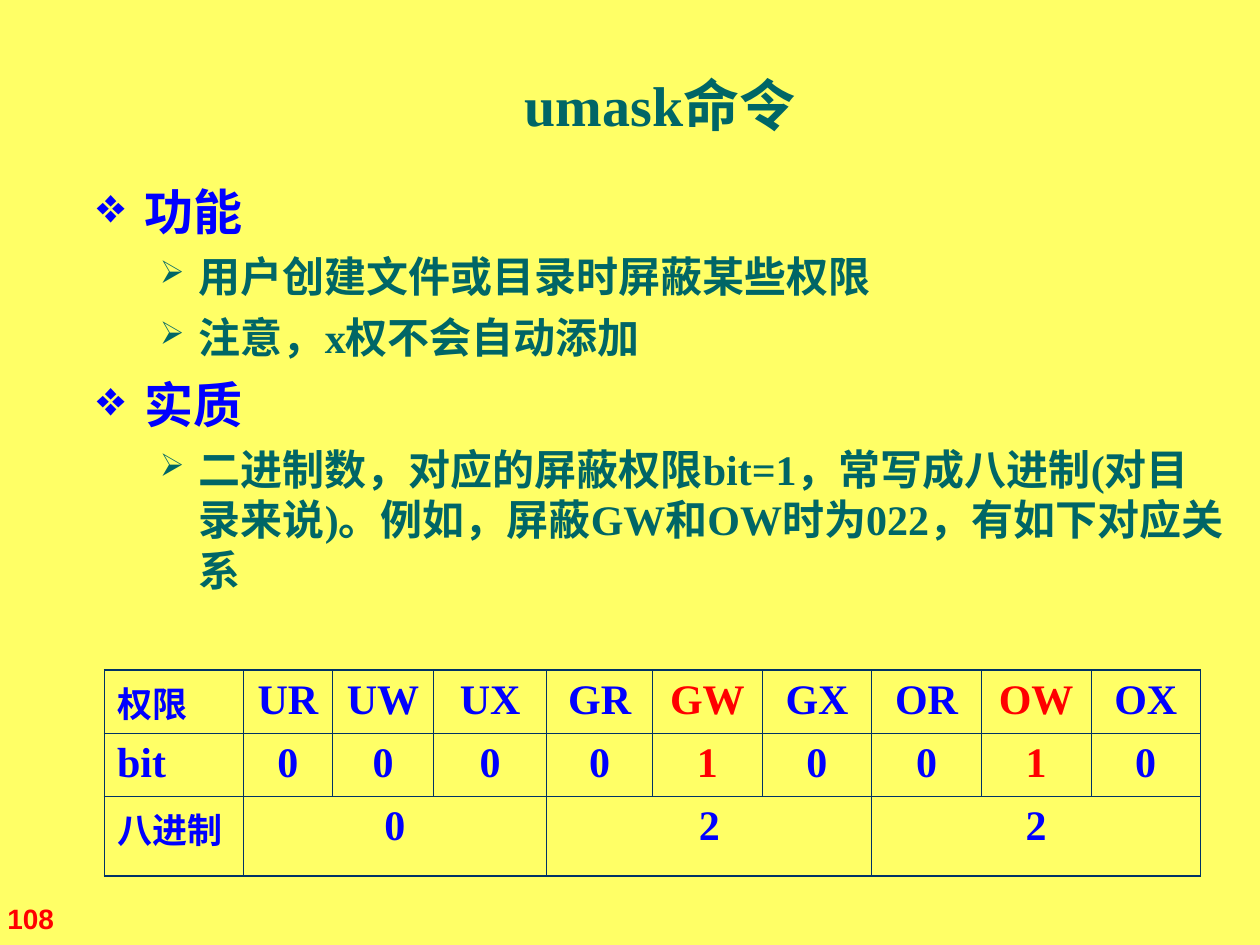
"""Build the umask command slide with its permission table."""
import pptx
import pptx.dml.color
import pptx.enum.lang
import pptx.enum.text
import pptx.oxml
import pptx.oxml.ns
import pptx.util

Inches, Pt = pptx.util.Inches, pptx.util.Pt
ALIGN, ANCHOR = pptx.enum.text.PP_ALIGN, pptx.enum.text.MSO_ANCHOR
SERIF = "Times New Roman"
BLUE, GREEN, RED, NAVY = "0000FF", "006666", "FF0000", "003366"
THICK, THIN = 1.08, 0.45

TITLE = "umask命令"
POINTS = [
    (0, "功能"),
    (1, "用户创建文件或目录时屏蔽某些权限"),
    (1, "注意，x权不会自动添加"),
    (0, "实质"),
    (1, "二进制数，对应的屏蔽权限bit=1，常写成八进制(对目录来说)。"
        "例如，屏蔽GW和OW时为022，有如下对应关系"),
]
LEVELS = [
    dict(size=28, color=BLUE, mark="❖", scale=100, left=0.38, hang=0.38, gap=7),
    dict(size=24, color=GREEN, mark="➢", scale=75, left=0.81, hang=0.31, gap=6),
]
RIGHTS = ["UR", "UW", "UX", "GR", "GW", "GX", "OR", "OW", "OX"]
MASKED = ["GW", "OW"]
HEADS = [("权限", 20), ("bit", 24), ("八进制", 20)]
WIDTHS = [1.1, 0.71, 0.8, 0.9, 0.84] + [0.87] * 5
HEIGHTS = [0.5, 0.5, 0.63]


def paint(text):
    return pptx.dml.color.RGBColor.from_string(text)


def write(para, text, size, color, face=SERIF):
    run = para.add_run()
    run.text = text
    font = run.font
    font.name, font.size, font.bold = face, Pt(size), True
    font.color.rgb = paint(color)
    font.language_id = pptx.enum.lang.MSO_LANGUAGE_ID.SIMPLIFIED_CHINESE


def add_box(slide, left, top, width, height, anchor):
    box = slide.shapes.add_textbox(*map(Inches, (left, top, width, height)))
    frame = box.text_frame
    frame.word_wrap = True
    frame.vertical_anchor = anchor
    return frame


def parse_tag(xml):
    return pptx.oxml.parse_xml(xml.replace(" ", f" {pptx.oxml.ns.nsdecls('a')} ", 1))


def add_mark(para, mark, color, scale, left, hang):
    props = para._p.get_or_add_pPr()
    props.set("marL", str(Inches(left)))
    props.set("indent", str(-Inches(hang)))
    for xml in (
        f'<a:buClr ><a:srgbClr val="{color}"/></a:buClr>',
        f'<a:buSzPct val="{scale * 1000}"/>',
        f'<a:buChar char="{mark}"/>',
    ):
        props.append(parse_tag(xml))


def add_edges(cell, row, col):
    outer = dict(L=col == 0, R=col == len(RIGHTS), T=row == 0, B=row == len(HEADS) - 1)
    props = cell._tc.get_or_add_tcPr()
    for side, edge in outer.items():
        width = Pt(THICK if edge else THIN)
        props.append(parse_tag(
            f'<a:ln{side} w="{width}"><a:solidFill><a:srgbClr val="{NAVY}"/>'
            f'</a:solidFill></a:ln{side}>'))
    cell.fill.background()


def add_points(frame):
    for num, (level, text) in enumerate(POINTS):
        look = LEVELS[level]
        para = frame.add_paragraph() if num else frame.paragraphs[0]
        para.level = level
        add_mark(para, look["mark"], look["color"], look["scale"],
                 look["left"], look["hang"])
        if num:
            para.space_before = Pt(look["gap"])
        write(para, text, look["size"], look["color"])


def add_grid(slide):
    shape = slide.shapes.add_table(
        len(HEIGHTS), len(WIDTHS), Inches(0.83), Inches(5.32),
        Inches(sum(WIDTHS)), Inches(sum(HEIGHTS)))
    grid = shape.table
    grid.first_row = grid.horz_banding = False
    for col, width in zip(grid.columns, WIDTHS):
        col.width = Inches(width)
    for row, height in zip(grid.rows, HEIGHTS):
        row.height = Inches(height)
    for row in range(len(HEIGHTS)):
        for col in range(len(WIDTHS)):
            add_edges(grid.cell(row, col), row, col)

    def put(row, col, text, size=24, color=BLUE):
        para = grid.cell(row, col).text_frame.paragraphs[0]
        para.alignment = ALIGN.CENTER if col else ALIGN.LEFT
        write(para, text, size, color)

    for row, (text, size) in enumerate(HEADS):
        put(row, 0, text, size)
    bits = [int(name in MASKED) for name in RIGHTS]
    for col, (name, bit) in enumerate(zip(RIGHTS, bits), 1):
        color = RED if bit else BLUE
        put(0, col, name, color=color)
        put(1, col, str(bit), color=color)
    for start in range(0, len(bits), 3):
        grid.cell(2, start + 1).merge(grid.cell(2, start + 3))
        high, mid, low = bits[start:start + 3]
        put(2, start + 1, str(4 * high + 2 * mid + low))


def main():
    deck = pptx.Presentation()
    deck.slide_width, deck.slide_height = Inches(10), Inches(7.5)
    slide = deck.slides.add_slide(deck.slide_layouts[6])
    slide.background.fill.solid()
    slide.background.fill.fore_color.rgb = paint("FFFF66")

    page = add_box(slide, -0.04, 7.1, 0.64, 0.37, ANCHOR.BOTTOM)
    write(page.paragraphs[0], "108", 16, RED, "Arial")
    head = add_box(slide, 0.67, 0.44, 9.14, 0.71, ANCHOR.BOTTOM).paragraphs[0]
    head.alignment, head.line_spacing = ALIGN.CENTER, 0.9
    write(head, TITLE, 32, GREEN)
    add_points(add_box(slide, 0.67, 1.39, 9.14, 5.96, ANCHOR.TOP))
    add_grid(slide)
    deck.save("out.pptx")


if __name__ == "__main__":
    main()
